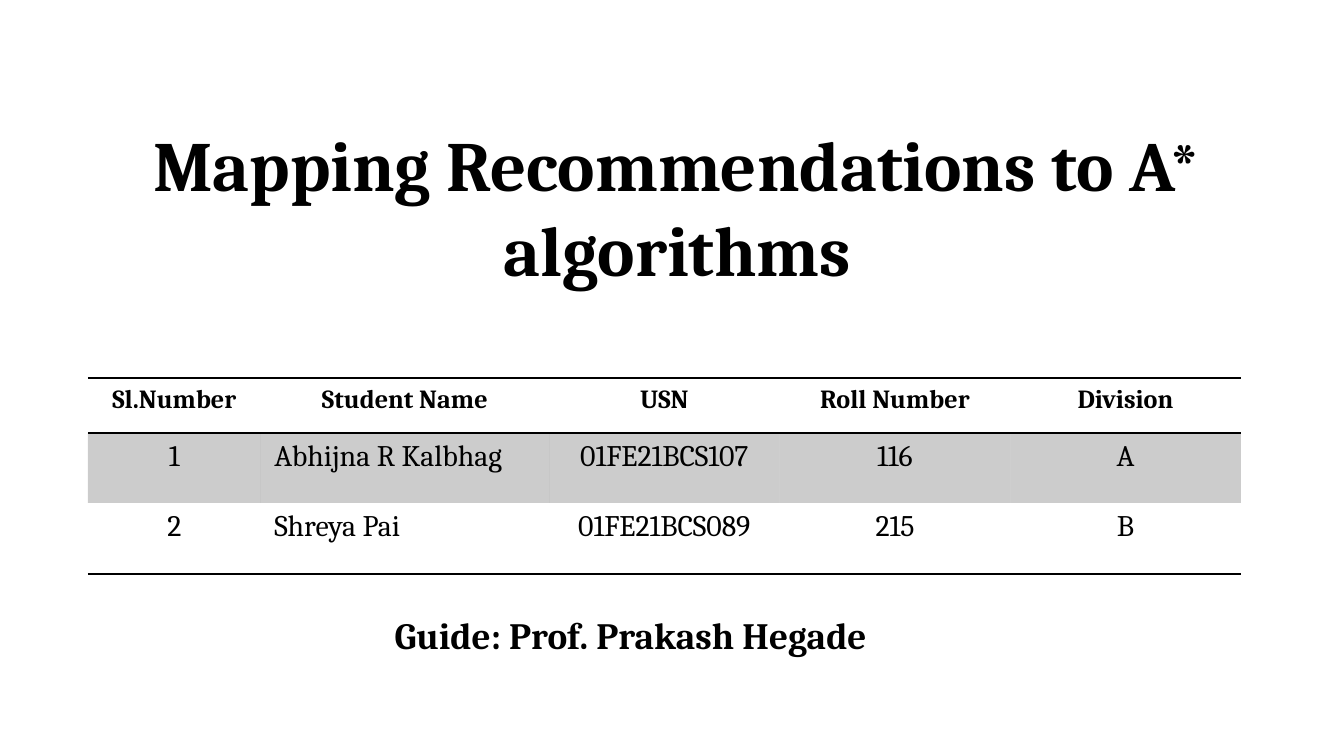
from dataclasses import dataclass

from lxml import etree
from pptx import Presentation
from pptx import util as u
from pptx.dml.color import RGBColor
from pptx.enum import text
from pptx.oxml import ns

WIDE = u.Inches(10)
HIGH = WIDE * 9 // 16
BLACK = RGBColor(0, 0, 0)
FONT = "Cambria"
MID, LEFT = text.PP_ALIGN.CENTER, text.PP_ALIGN.LEFT
SHARES = (0.15, 0.25, 0.2, 0.2, 0.2)
ROWS = (
    ("Sl.Number", "Student Name", "USN", "Roll Number", "Division"),
    ("1", "Abhijna R Kalbhag", "01FE21BCS107", "116", "A"),
    ("2", "Shreya Pai", "01FE21BCS089", "215", "B"),
)


@dataclass
class Box:
    """Place and size in percent of the slide."""
    x: float
    y: float
    w: float
    h: float

    def spans(self) -> tuple:
        """Give left, top, width and height as lengths."""
        return tuple(int(part * side / 100) for part, side in
                     zip((self.x, self.y, self.w, self.h), (WIDE, HIGH) * 2))


@dataclass
class Label:
    """Text of a placeholder with its look."""
    words: str
    box: Box
    size: float
    frame: dict
    para: dict


@dataclass
class Band:
    """Look of one table row."""
    high: float
    size: float
    bold: bool
    lines: str
    shade: bool = False


LABELS = (
    Label("Mapping Recommendations to A* algorithms", Box(7.5, 20.3, 85.8, 19.93), 37.8,
          {"vertical_anchor": text.MSO_ANCHOR.BOTTOM, "margin_top": u.Inches(0.1),
           "margin_bottom": u.Inches(0.1)}, {"line_spacing": 1.0}),
    Label("Guide: Prof. Prakash Hegade", Box(10.44, 81.28, 73, 9.6), 19.9,
          {"vertical_anchor": text.MSO_ANCHOR.TOP}, {"line_spacing": 0.8}),
)
BANDS = (
    Band(0.41, 14, True, "TB"),
    Band(0.52, 16, False, "T", True),
    Band(0.53, 16, False, "B"),
)
GRID = Box(6.54, 50, 85.8, 25.96)


def apply(item, form: dict) -> None:
    """Set each attribute named in a format."""
    for name, value in form.items():
        setattr(item, name, value)


def write(frame, words: str, size: float, bold: bool, align) -> None:
    """Put one styled paragraph in a text frame."""
    line = frame.paragraphs[0]
    line.alignment = align
    run = line.add_run()
    run.text = words
    apply(run.font, {"name": FONT, "size": u.Pt(size), "bold": bold})
    run.font.color.rgb = BLACK


def label(shape, item: Label) -> None:
    """Move and fill a placeholder."""
    apply(shape, dict(zip(("left", "top", "width", "height"), item.box.spans())))
    frame = shape.text_frame
    apply(frame, {"word_wrap": True, "auto_size": text.MSO_AUTO_SIZE.NONE, **item.frame})
    write(frame, item.words, item.size, True, MID)
    apply(frame.paragraphs[0], {"space_before": u.Pt(0), **item.para})


def rule(cell, lines: str) -> None:
    """Draw the named sides of a cell and clear the others."""
    props = cell._tc.get_or_add_tcPr()
    for side in "LRTB":
        edge = etree.SubElement(props, ns.qn(f"a:ln{side}"), w=str(u.Pt(1)))
        if side in lines:
            fill = etree.SubElement(edge, ns.qn("a:solidFill"))
            etree.SubElement(fill, ns.qn("a:srgbClr"), val=str(BLACK))
        else:
            etree.SubElement(edge, ns.qn("a:noFill"))


def tint(cell, shade: bool) -> None:
    """Fill a cell with faint black or with nothing."""
    if not shade:
        cell.fill.background()
        return
    cell.fill.solid()
    cell.fill.fore_color.rgb = BLACK
    tone = cell._tc.tcPr.find(ns.qn("a:solidFill"))[0]
    etree.SubElement(tone, ns.qn("a:alpha"), val="20000")


def roster(slide) -> None:
    """Build the table of students."""
    spans = GRID.spans()
    table = slide.shapes.add_table(len(ROWS), len(SHARES), *spans).table
    apply(table, {"first_row": False, "horz_banding": False})
    for col, share in zip(table.columns, SHARES):
        col.width = int(spans[2] * share)
    for r, (row, band) in enumerate(zip(ROWS, BANDS)):
        table.rows[r].height = u.Inches(band.high)
        for c, words in enumerate(row):
            cell = table.cell(r, c)
            align = LEFT if r and c == 1 else MID
            write(cell.text_frame, words, band.size, band.bold, align)
            rule(cell, band.lines)
            tint(cell, band.shade)


def main() -> None:
    """Build and save the slide."""
    deck = Presentation()
    apply(deck, {"slide_width": WIDE, "slide_height": HIGH})
    slide = deck.slides.add_slide(deck.slide_layouts[0])
    for shape, item in zip(slide.placeholders, LABELS):
        label(shape, item)
    roster(slide)
    deck.save("out.pptx")


if __name__ == "__main__":
    main()
